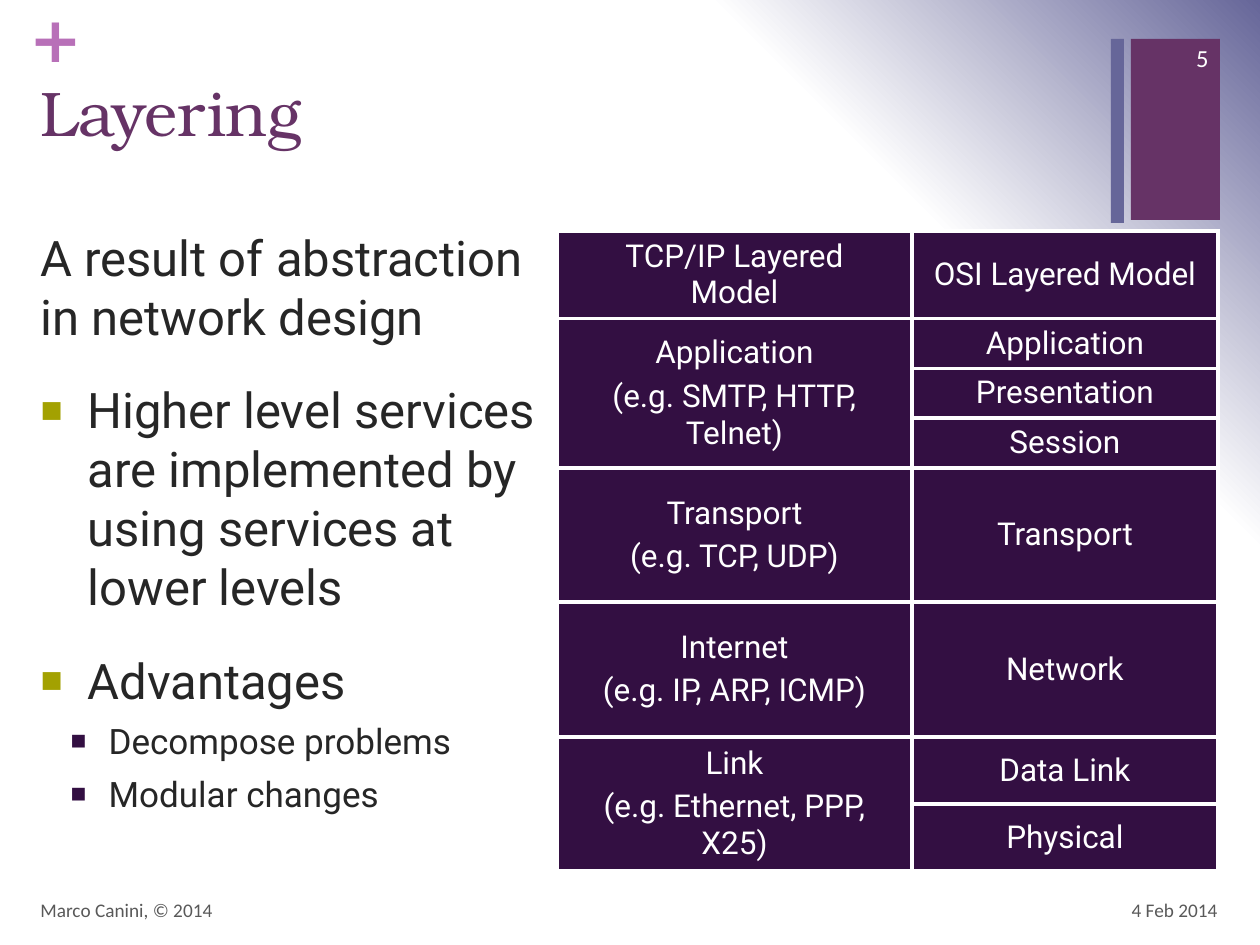
from pptx import Presentation
from pptx.dml.color import RGBColor as RGB
from pptx.enum.shapes import MSO_SHAPE as SHAPE
from pptx.enum.text import MSO_ANCHOR as ANCHOR, MSO_AUTO_SIZE as FIT, PP_ALIGN as ALIGN
from pptx.oxml import parse_xml
from pptx.oxml.ns import nsdecls, qn
from pptx.util import Pt

SCALE = 914400 / 126
PLUM, SLATE, ORCHID = RGB(0x66, 0x33, 0x66), RGB(0x66, 0x66, 0x99), RGB(0xB8, 0x70, 0xB8)
DARK, OLIVE, INK = RGB(0x33, 0x0F, 0x42), RGB(0xA3, 0xA1, 0x01), RGB(0x26, 0x26, 0x26)
GREY, WHITE = RGB(0x59, 0x59, 0x59), RGB(0xFF, 0xFF, 0xFF)

TITLE = dict(size=Pt(36), name="TeX Gyre Bonum", color=PLUM)
LEAD = dict(size=Pt(28), name="Roboto", color=INK)
SUB = dict(LEAD, size=Pt(20))
CELL = dict(size=Pt(18), name="Roboto", color=WHITE, bold=False)
FOOT = dict(size=Pt(11), name="Calibri", color=GREY)
PAGE = dict(size=Pt(14), name="Calibri", color=WHITE)
PLUS = dict(size=Pt(36), name="DejaVu Sans", color=ORCHID, bold=True)

POINT = dict(level=0, left=47, hang=47, color=OLIVE)
NOTE = dict(level=1, left=68, hang=38, color=DARK)
LIST = [
    ("A result of abstraction in network design", LEAD, 0, None),
    ("Higher level services are implemented by using services at lower levels", LEAD, 20, POINT),
    ("Advantages", LEAD, 20, POINT),
    ("Decompose problems", SUB, 6, NOTE),
    ("Modular changes", SUB, 6, NOTE),
]
COLS = [355, 306]
ROWS = [87, 49, 49, 50, 134, 135, 67, 67]
TCP = [
    (0, 1, ["TCP/IP Layered Model"]),
    (1, 3, ["Application", "(e.g. SMTP, HTTP, Telnet)"]),
    (4, 1, ["Transport", "(e.g. TCP, UDP)"]),
    (5, 1, ["Internet", "(e.g. IP, ARP, ICMP)"]),
    (6, 2, ["Link", "(e.g. Ethernet, PPP, X25)"]),
]
OSI = ["OSI Layered Model", "Application", "Presentation", "Session",
       "Transport", "Network", "Data Link", "Physical"]


def px(n):
    """Turn pixels into EMU."""
    return round(n * SCALE)


def write(para, text, look, align=ALIGN.LEFT, before=0):
    """Fill one paragraph with a formatted run."""
    para.alignment = align
    para.space_before = Pt(before)
    run = para.add_run()
    run.text = text
    for key, value in look.items():
        if key == "color":
            run.font.color.rgb = value
        else:
            setattr(run.font, key, value)


def mark(para, level, left, hang, color):
    """Give a paragraph a square bullet and a hanging indent."""
    para.level = level
    props = para._p.get_or_add_pPr()
    props.set("marL", str(px(left)))
    props.set("indent", str(-px(hang)))
    for part in (f'<a:buClr {nsdecls("a")}><a:srgbClr val="{color}"/></a:buClr>',
                 f'<a:buSzPct {nsdecls("a")} val="75000"/>',
                 f'<a:buFont {nsdecls("a")} typeface="Arial"/>',
                 f'<a:buChar {nsdecls("a")} char="■"/>'):
        props.append(parse_xml(part))


def plain(para):
    """Take the bullet and indent off a paragraph."""
    props = para._p.get_or_add_pPr()
    props.set("marL", "0")
    props.set("indent", "0")
    props.append(parse_xml(f'<a:buNone {nsdecls("a")}/>'))


def place(shape, x, y, w, h):
    """Move and size a placeholder, and return its text frame."""
    shape.left, shape.top, shape.width, shape.height = map(px, (x, y, w, h))
    frame = shape.text_frame
    frame.auto_size, frame.word_wrap, frame.vertical_anchor = FIT.NONE, True, ANCHOR.TOP
    return frame


def block(slide, box, color):
    """Draw a flat filled rectangle."""
    shape = slide.shapes.add_shape(SHAPE.RECTANGLE, *map(px, box))
    shape.shadow.inherit = False
    shape.fill.solid()
    shape.fill.fore_color.rgb = color
    shape.line.fill.background()


def label(slide, box, text, look, align=ALIGN.LEFT):
    """Add a one-line text box centred on its height."""
    frame = slide.shapes.add_textbox(*map(px, box)).text_frame
    frame.word_wrap, frame.vertical_anchor = True, ANCHOR.MIDDLE
    write(frame.paragraphs[0], text, look, align)
    return frame


def shade(slide):
    """Fill the background with a glow from the top right corner."""
    slide.background.fill.solid()
    props = slide.element.find(".//" + qn("p:bgPr"))
    stops = "".join(f'<a:gs pos="{pos}000"><a:srgbClr val="{color}"/></a:gs>'
                    for pos, color in ((0, WHITE), (75, WHITE), (100, SLATE)))
    props.replace(props[0], parse_xml(
        f'<a:gradFill {nsdecls("a")} rotWithShape="1"><a:gsLst>{stops}</a:gsLst>'
        '<a:path path="circle"><a:fillToRect t="100000" r="100000"/></a:path></a:gradFill>'))


def style(cell):
    """Set fill, margins and white borders of a cell."""
    cell.fill.solid()
    cell.fill.fore_color.rgb = DARK
    looks = dict(vertical_anchor=ANCHOR.MIDDLE, margin_left=px(21), margin_right=px(21),
                 margin_top=px(6), margin_bottom=px(6))
    for key, value in looks.items():
        setattr(cell, key, value)
    props = cell._tc.get_or_add_tcPr()
    for spot, side in enumerate("LRTB"):
        props.insert(spot, parse_xml(
            f'<a:ln{side} {nsdecls("a")} w="{Pt(2.25)}"><a:solidFill>'
            f'<a:srgbClr val="{WHITE}"/></a:solidFill></a:ln{side}>'))


def fill(cell, lines):
    """Write centred lines into a cell."""
    frame = cell.text_frame
    for i, line in enumerate(lines):
        para = frame.add_paragraph() if i else frame.paragraphs[0]
        write(para, line, CELL, ALIGN.CENTER, 3.6 if i else 0)


def models(slide):
    """Build the table that sets both layer models side by side."""
    box = map(px, (557, 231, sum(COLS), sum(ROWS)))
    table = slide.shapes.add_table(len(ROWS), len(COLS), *box).table
    table.first_row = table.horz_banding = False
    for col, width in zip(table.columns, COLS):
        col.width = px(width)
    for row, height in zip(table.rows, ROWS):
        row.height = px(height)
    for cell in table.iter_cells():
        style(cell)
    for top, span, lines in TCP:
        cell = table.cell(top, 0)
        if span > 1:
            cell.merge(table.cell(top + span - 1, 0))
        fill(cell, lines)
    for i, name in enumerate(OSI):
        fill(table.cell(i, 1), [name])


def main():
    """Build and save the slide."""
    deck = Presentation()
    deck.slide_width, deck.slide_height = px(1260), px(945)
    slide = deck.slides.add_slide(deck.slide_layouts[1])
    shade(slide)
    block(slide, (1131, 39, 89, 181), PLUM)
    block(slide, (1111, 39, 13, 184), SLATE)
    plus = label(slide, (30, 0, 37, 77), "+", PLUS)
    plus.word_wrap, plus.vertical_anchor = False, ANCHOR.TOP
    for side in ("left", "right", "top", "bottom"):
        setattr(plus, "margin_" + side, 0)
    title = place(slide.shapes.title, 28, 67, 1082, 154)
    write(title.paragraphs[0], "Layering", TITLE)
    body = place(slide.placeholders[1], 28, 221, 529, 664)
    for i, (text, look, before, bullet) in enumerate(LIST):
        para = body.add_paragraph() if i else body.paragraphs[0]
        write(para, text, look, before=before)
        if bullet:
            mark(para, **bullet)
        else:
            plain(para)
    models(slide)
    label(slide, (936, 885, 294, 50), "4 Feb 2014", FOOT, ALIGN.RIGHT)
    label(slide, (28, 885, 844, 50), "Marco Canini, © 2014", FOOT)
    label(slide, (1144, 33, 77, 50), "5", PAGE, ALIGN.RIGHT)
    deck.save("out.pptx")


if __name__ == "__main__":
    main()
